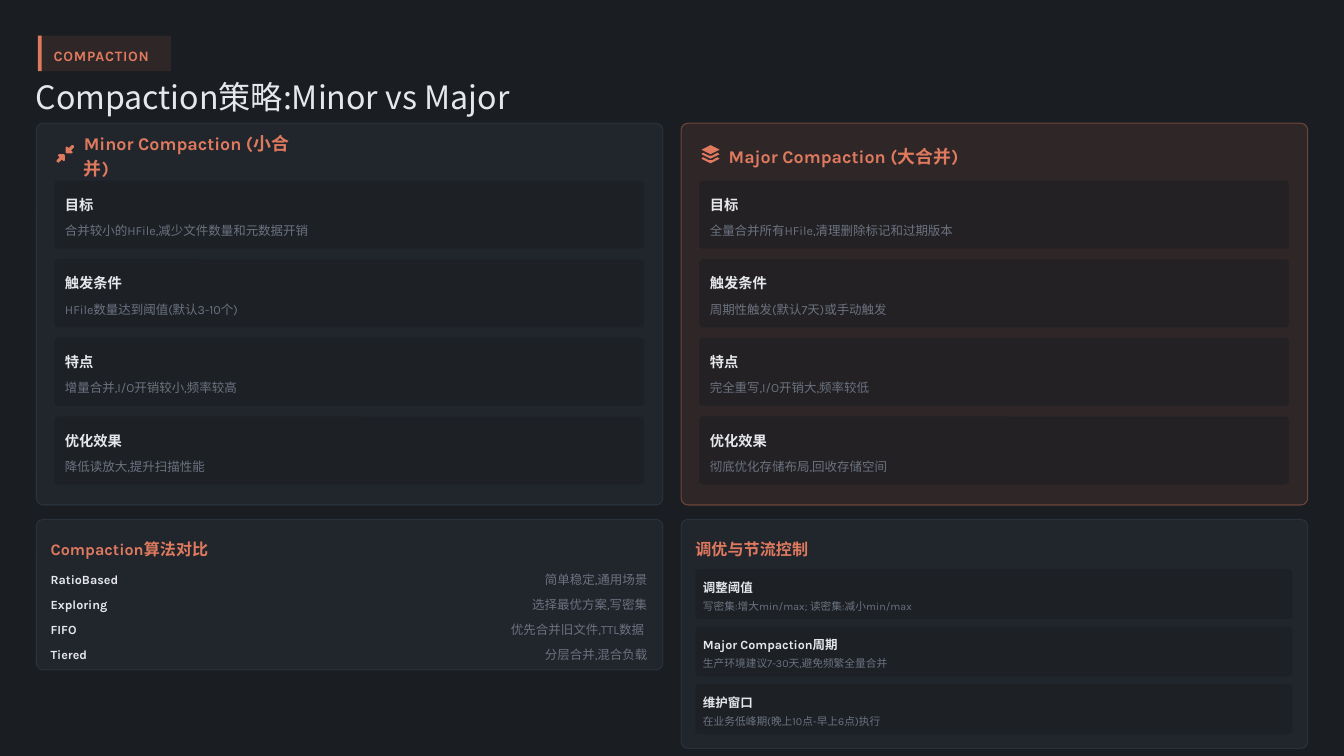
from lxml.etree import SubElement
from pptx import Presentation
from pptx.dml.color import RGBColor
from pptx.enum.shapes import MSO_SHAPE as Preset
from pptx.enum.text import MSO_ANCHOR as Anchor
from pptx.oxml.ns import qn
from pptx.util import Inches, Pt

COLORS = {
    "background": "1A1D21",
    "accent": "E07A5F",
    "slate": "3D4A5C",
    "text": "E5E7EB",
    "muted": "6B7280",
}
LATIN, CJK = "Karla", "Noto Sans CJK SC"
LEFT, RIGHT = 0.48, 9.01
CARD_WIDTH = 8.29

# Icon outlines, in hundredths of an inch
COMPRESS = [
    [(20, 0), (22, 0), (23, 2), (23, 3), (19, 7), (21, 9), (21, 10), (20, 11),
     (14, 11), (12, 10), (12, 3), (13, 2), (14, 2), (16, 4)],
    [(3, 12), (10, 12), (11, 14), (11, 20), (10, 21), (9, 21), (7, 19),
     (3, 23), (2, 23), (0, 22), (0, 20), (4, 16), (2, 14), (2, 13)],
]
LAYER = [(2, 10), (10, 14), (14, 14), (21, 10), (24, 12), (12, 18), (0, 12)]
LAYERS = [
    [(12, 0), (24, 6), (12, 12), (0, 6)],
    LAYER,
    [(x, y + 6) for x, y in LAYER],
]

MINOR = [
    ("目标", "合并较小的HFile,减少文件数量和元数据开销"),
    ("触发条件", "HFile数量达到阈值(默认3-10个)"),
    ("特点", "增量合并,I/O开销较小,频率较高"),
    ("优化效果", "降低读放大,提升扫描性能"),
]
MAJOR = [
    ("目标", "全量合并所有HFile,清理删除标记和过期版本"),
    ("触发条件", "周期性触发(默认7天)或手动触发"),
    ("特点", "完全重写,I/O开销大,频率较低"),
    ("优化效果", "彻底优化存储布局,回收存储空间"),
]
# Name, name width, remark, remark width
ALGORITHMS = [
    ("RatioBased", 0.93, "简单稳定,通用场景", 1.45),
    ("Exploring", 0.79, "选择最优方案,写密集", 1.62),
    ("FIFO", 0.44, "优先合并旧文件,TTL数据", 1.9),
    ("Tiered", 0.57, "分层合并,混合负载", 1.45),
]
TUNING = [
    ("调整阈值", "写密集:增大min/max; 读密集:减小min/max"),
    ("Major Compaction周期", "生产环境建议7-30天,避免频繁全量合并"),
    ("维护窗口", "在业务低峰期(晚上10点-早上6点)执行"),
]


def paint(fill, color, opacity=100):
    fill.solid()
    fill.fore_color.rgb = RGBColor.from_string(COLORS[color])
    if opacity < 100:
        for tone in fill._xPr.iter(qn("a:srgbClr")):
            SubElement(tone, qn("a:alpha"), val=str(opacity * 1000))


def add_panel(page, left, top, width, height, color, opacity=100, radius=0, outlined=False):
    preset = Preset.ROUNDED_RECTANGLE if radius else Preset.RECTANGLE
    panel = page.shapes.add_shape(
        preset, Inches(left), Inches(top), Inches(width), Inches(height))
    panel.shadow.inherit = False
    if radius:
        panel.adjustments[0] = radius / min(width, height)
    paint(panel.fill, color, opacity)
    if outlined:
        panel.line.width = Pt(1)
        paint(panel.line.fill, color, 40)
    else:
        panel.line.fill.background()


def add_text(page, left, top, width, height, text, size, color,
             bold=False, spacing=1.2, font=LATIN, tracking=0):
    box = page.shapes.add_textbox(
        Inches(left), Inches(top), Inches(width), Inches(height))
    frame = box.text_frame
    frame.word_wrap = True
    frame.vertical_anchor = Anchor.MIDDLE
    frame.margin_left = frame.margin_top = frame.margin_right = frame.margin_bottom = 0
    frame.text = text
    para = frame.paragraphs[0]
    para.line_spacing = spacing
    span = para.runs[0]
    span.font.size = Pt(size)
    span.font.bold = bold
    span.font.color.rgb = RGBColor.from_string(COLORS[color])
    span.font.name = font
    properties = span._r.get_or_add_rPr()
    SubElement(properties, qn("a:ea"), typeface=CJK)
    if tracking:
        properties.set("spc", str(round(tracking * 100)))


def add_icon(page, left, top, outlines):
    """Draw closed outlines, given in hundredths of an inch, as one shape."""
    x0, y0 = round(left * 100), round(top * 100)
    contours = [[(x0 + x, y0 + y) for x, y in outline] for outline in outlines]
    builder = page.shapes.build_freeform(*contours[0][0], scale=Inches(0.01))
    for index, contour in enumerate(contours):
        if index:
            builder.move_to(*contour[0])
        builder.add_line_segments(contour[1:], close=True)
    icon = builder.convert_to_shape()
    icon.shadow.inherit = False
    paint(icon.fill, "accent")
    icon.line.fill.background()


def add_header(page):
    add_panel(page, 0.5, 0.47, 1.76, 0.47, "accent", 10)
    add_panel(page, 0.5, 0.47, 0.05, 0.47, "accent")
    add_text(page, 0.71, 0.58, 1.45, 0.25, "COMPACTION", 13.6, "accent",
             bold=True, spacing=1.3, tracking=0.7)
    add_text(page, 0.47, 1.08, 17.05, 0.47, "Compaction策略:Minor vs Major",
             30.6, "text", spacing=0.9, font=CJK)


def add_strategy(page, left, title, icon, items, color, opacity):
    add_panel(page, left, 1.63, CARD_WIDTH, 5.05, color, opacity, 0.09, outlined=True)
    add_icon(page, left + 0.27, 1.92, icon)
    add_text(page, left + 0.63, 1.87, 3.04, 0.33, title, 17, "accent", bold=True)
    for row, (name, detail) in enumerate(items):
        top = 2.39 + row * 1.04
        add_panel(page, left + 0.24, top, 7.8, 0.9, "background", 50, 0.05)
        add_text(page, left + 0.38, top + 0.14, 7.62, 0.28, name, 13.6, "text",
                 bold=True, spacing=1.3)
        add_text(page, left + 0.38, top + 0.52, 7.6, 0.24, detail, 11.9, "muted")


def add_section(page, left, height, title):
    add_panel(page, left, 6.87, CARD_WIDTH, height, "slate", 20, 0.09, outlined=True)
    add_text(page, left + 0.19, 7.06, 8, 0.33, title, 15.3, "accent",
             bold=True, spacing=1.3)


def add_algorithms(page):
    add_section(page, LEFT, 1.99, "Compaction算法对比")
    for row, (name, name_width, remark, remark_width) in enumerate(ALGORITHMS):
        top = 7.53 + row * 0.33
        add_text(page, LEFT + 0.19, top, name_width, 0.24, name, 11.9, "text", bold=True)
        add_text(page, 8.66 - remark_width, top, remark_width, 0.24, remark, 11.9, "muted")


def add_tuning(page):
    add_section(page, RIGHT, 3.03, "调优与节流控制")
    for row, (name, detail) in enumerate(TUNING):
        top = 7.53 + row * 0.76
        add_panel(page, RIGHT + 0.19, top, 7.9, 0.66, "background", 50, 0.05)
        add_text(page, RIGHT + 0.29, top + 0.1, 7.79, 0.24, name, 11.9, "text", bold=True)
        add_text(page, RIGHT + 0.29, top + 0.38, 7.78, 0.19, detail, 10.2, "muted",
                 spacing=1.1)


def main():
    deck = Presentation()
    deck.slide_width, deck.slide_height = Inches(17.78), Inches(10)
    page = deck.slides.add_slide(deck.slide_layouts[6])
    paint(page.background.fill, "background")
    add_header(page)
    add_strategy(page, LEFT, "Minor Compaction (小合并)", COMPRESS, MINOR, "slate", 20)
    add_strategy(page, RIGHT, "Major Compaction (大合并)", LAYERS, MAJOR, "accent", 10)
    add_algorithms(page)
    add_tuning(page)
    deck.save("out.pptx")


if __name__ == "__main__":
    main()
